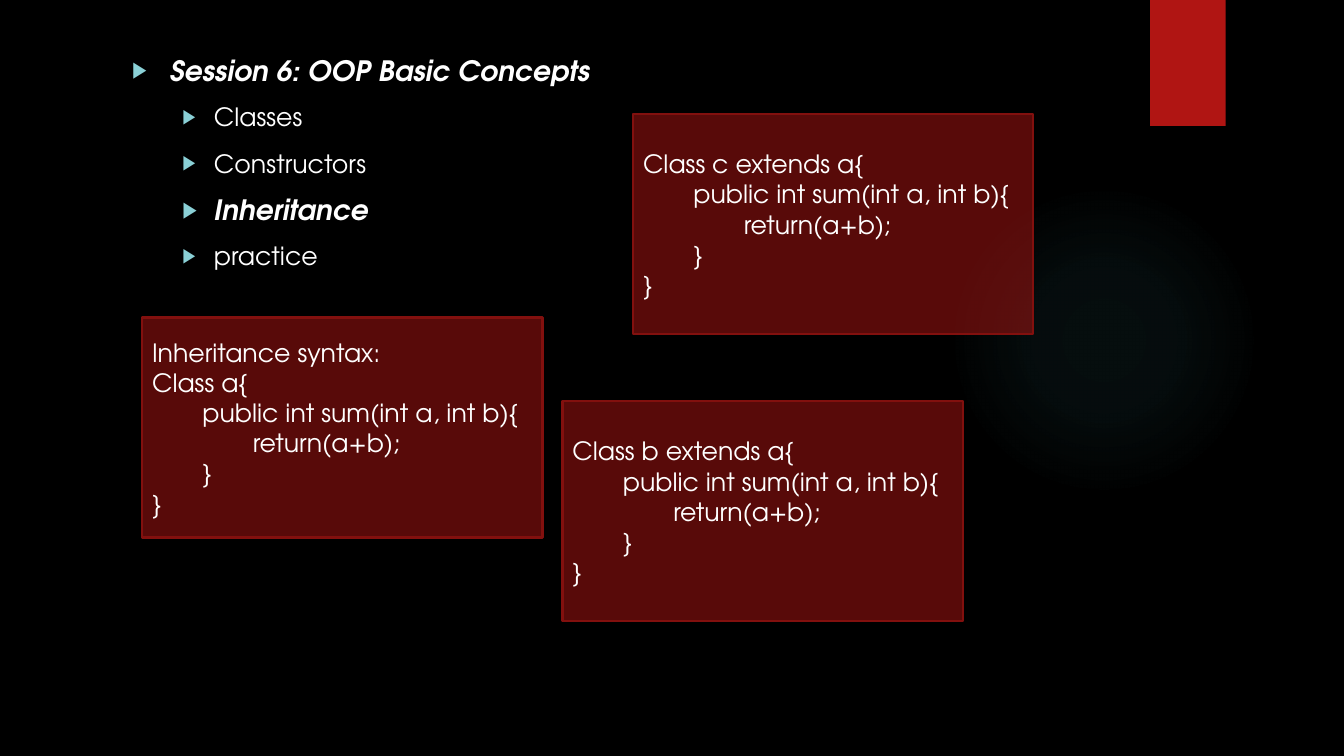
import pptx
import pptx.dml.color
import pptx.enum.shapes
import pptx.enum.text
import pptx.oxml
import pptx.oxml.ns
import pptx.util

Pt = pptx.util.Pt
RGBColor = pptx.dml.color.RGBColor
Shape = pptx.enum.shapes.MSO_SHAPE
NAMESPACE = pptx.oxml.ns.nsdecls("a")

FONT = "TeX Gyre Adventor"
BLACK = RGBColor(0x00, 0x00, 0x00)
WHITE = RGBColor(0xFF, 0xFF, 0xFF)
RED = RGBColor(0xB0, 0x15, 0x13)
DARK_RED = RGBColor(0x82, 0x10, 0x0E)
TEAL = RGBColor(0x50, 0xB9, 0xC1)
BULLET = RGBColor(0x8A, 0xD0, 0xD6)

# Each agenda line: level, then runs of (text, strong)
AGENDA = [
    (0, [("Session 6: OOP Basic Concepts", True)]),
    (1, [("Classes", False)]),
    (1, [("Constructors", False), (" ", True)]),
    (1, [("Inheritance", True)]),
    (1, [("practice", False)]),
]
AGENDA_BOX = (87.12, 34.56, 704.16, 491.76)
INDENTS = [(27, -27), (58.5, -22.5)]  # left margin and first line, by level

METHOD = ["\tpublic int sum(int a, int b){", "\t\treturn(a+b);", "\t}", "}"]
CODE_SIZE = (286, 157.2)
CODE_BOXES = [
    (101.5, 226.8, ["Inheritance syntax:", "Class a{"]),
    (401.8, 286.6, ["Class b extends a{"]),
    (452.2, 81.4, ["Class c extends a{"]),
]

GLOW_BOX = (677.5, 131.8, 221.8, 221.8)
GLOW_STOPS = [(0, 7), (36, 6), (69, 0)]  # position and opacity, percent
RIBBON_BOX = (821.5, 0, 54, 90)


def add_panel(page, kind, box, color):
    shape = page.shapes.add_shape(kind, *map(Pt, box))
    shape.shadow.inherit = False
    shape.fill.solid()
    shape.fill.fore_color.rgb = color
    shape.line.fill.background()
    return shape


def add_span(para, text, size, strong=False):
    span = para.add_run()
    span.text = text
    span.font.name = FONT
    span.font.size = Pt(size)
    span.font.bold = span.font.italic = strong
    span.font.color.rgb = WHITE


def solid_fill(shape):
    return shape.fill._xPr.find(pptx.oxml.ns.qn("a:solidFill"))


def add_glow(page):
    glow = add_panel(page, Shape.OVAL, GLOW_BOX, TEAL)
    stops = "".join(
        f'<a:gs pos="{place * 1000}"><a:srgbClr val="{TEAL}">'
        f'<a:alpha val="{opacity * 1000}"/></a:srgbClr></a:gs>'
        for place, opacity in GLOW_STOPS
    )
    gradient = pptx.oxml.parse_xml(
        f'<a:gradFill {NAMESPACE} rotWithShape="1"><a:gsLst>{stops}</a:gsLst>'
        '<a:path path="circle"><a:fillToRect l="50000" t="50000" r="50000" b="50000"/>'
        "</a:path></a:gradFill>"
    )
    solid = solid_fill(glow)
    solid.getparent().replace(solid, gradient)


def set_bullet(para, level):
    properties = para._p.get_or_add_pPr()
    margin, indent = INDENTS[level]
    properties.set("marL", str(Pt(margin)))
    properties.set("indent", str(Pt(indent)))
    for markup in (
        f'<a:buClr {NAMESPACE}><a:srgbClr val="{BULLET}"/></a:buClr>',
        f'<a:buSzPct {NAMESPACE} val="80000"/>',
        f'<a:buFont {NAMESPACE} typeface="Arial"/>',
        f'<a:buChar {NAMESPACE} char="▶"/>',
    ):
        properties.append(pptx.oxml.parse_xml(markup))


def add_agenda(page):
    body = page.placeholders[1]
    body.left, body.top, body.width, body.height = map(Pt, AGENDA_BOX)
    frame = body.text_frame
    frame.auto_size = pptx.enum.text.MSO_AUTO_SIZE.NONE
    for number, (level, spans) in enumerate(AGENDA):
        para = frame.add_paragraph() if number else frame.paragraphs[0]
        para.level = level
        para.space_before = Pt(10)
        set_bullet(para, level)
        for text, strong in spans:
            add_span(para, text, 20 if strong else 18, strong)


def add_code(page, left, top, lines):
    panel = add_panel(page, Shape.RECTANGLE, (left, top, *CODE_SIZE), RED)
    solid_fill(panel)[0].append(
        pptx.oxml.parse_xml(f'<a:alpha {NAMESPACE} val="50000"/>')
    )
    panel.line.color.rgb = DARK_RED
    panel.line.width = Pt(1.5)
    frame = panel.text_frame
    frame.word_wrap = True
    frame.vertical_anchor = pptx.enum.text.MSO_ANCHOR.MIDDLE
    for number, line in enumerate(lines):
        para = frame.add_paragraph() if number else frame.paragraphs[0]
        para.alignment = pptx.enum.text.PP_ALIGN.LEFT
        add_span(para, line, 18)


def main():
    deck = pptx.Presentation()
    deck.slide_width, deck.slide_height = Pt(960), Pt(540)
    page = deck.slides.add_slide(deck.slide_layouts[1])
    page.background.fill.solid()
    page.background.fill.fore_color.rgb = BLACK
    title = page.shapes.title.element
    title.getparent().remove(title)

    add_glow(page)
    add_panel(page, Shape.RECTANGLE, RIBBON_BOX, RED)
    add_agenda(page)
    for left, top, opening in CODE_BOXES:
        add_code(page, left, top, opening + METHOD)
    deck.save("out.pptx")


if __name__ == "__main__":
    main()
